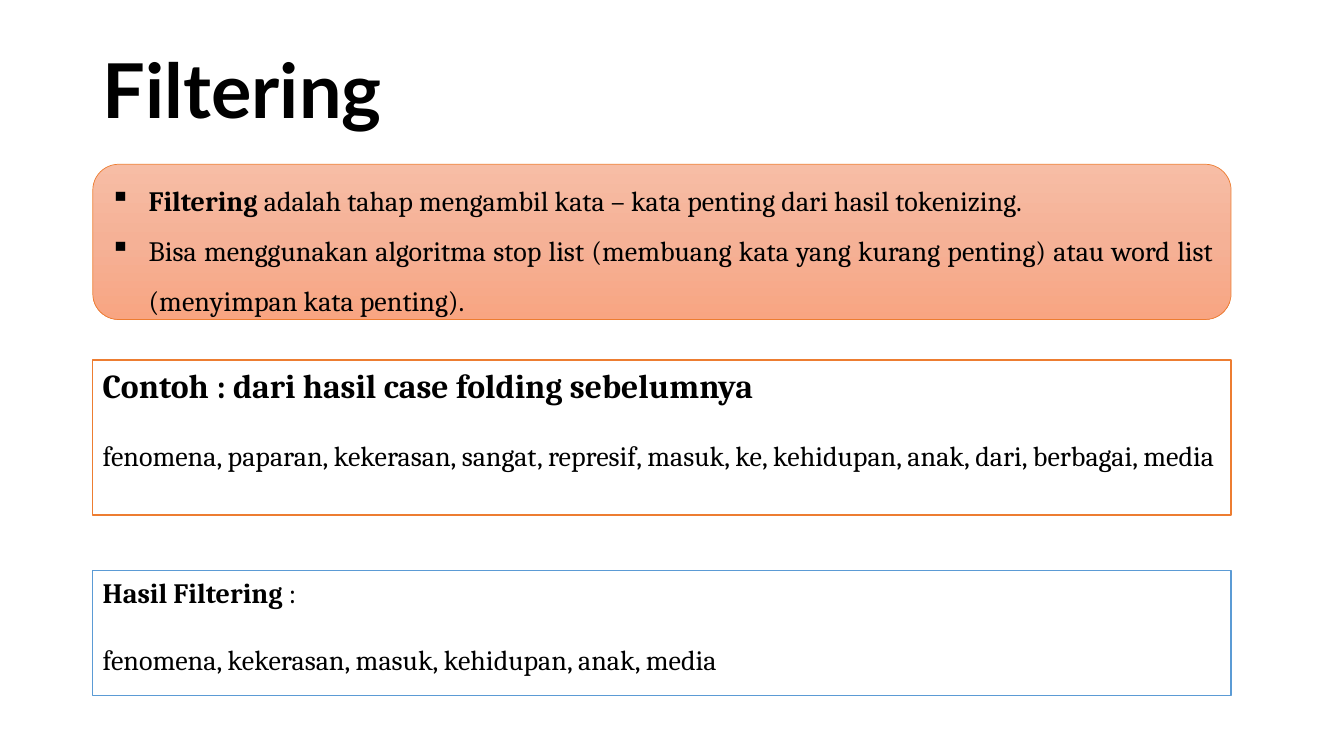
from copy import deepcopy

from lxml import etree
from pptx import Presentation
from pptx.dml.color import RGBColor as RGB
from pptx.enum.shapes import MSO_SHAPE as SHAPE
from pptx.enum.text import MSO_ANCHOR as ANCHOR, PP_ALIGN as ALIGN
from pptx.oxml.ns import qn
from pptx.util import Inches, Pt

COLORS = {"text": "000000", "paper": "FFFFFF", "orange": "ED7D31", "blue": "5B9BD5"}
GRADIENT = [(0, "F7BDA5"), (0.5, "F5B196"), (1, "F8A582")]
WIDTH, HEIGHT = 13.33, 7.5
LEFT, BOX_WIDTH = 0.92, 11.29


def add_runs(p, runs, font="Cambria"):
    for text, size, bold in runs:
        r = p.add_run()
        r.text = text
        for key, value in {"name": font, "size": Pt(size), "bold": bold}.items():
            setattr(r.font, key, value)
        r.font.color.rgb = RGB.from_string(COLORS["text"])


def add_bullet(p, char, indent):
    pPr = p._p.get_or_add_pPr()
    pPr.set("marL", str(Inches(indent)))
    pPr.set("indent", str(-Inches(indent)))
    etree.SubElement(pPr, qn("a:buChar")).set("char", char)


def fill_gradient(sp, stops):
    sp.fill.gradient()
    sp.fill.gradient_angle = 270
    gs_list = sp._element.spPr.xpath(".//a:gsLst")[0]
    while len(gs_list) < len(stops):
        gs_list.append(deepcopy(gs_list[0]))
    for stop, (position, color) in zip(sp.fill.gradient_stops, stops):
        stop.position = position
        stop.color.rgb = RGB.from_string(color)


def add_title(slide, box, text):
    sp = slide.shapes.title
    for key, value in zip(("left", "top", "width", "height"), box):
        setattr(sp, key, Inches(value))
    tf = sp.text_frame
    tf.vertical_anchor = ANCHOR.MIDDLE
    p = tf.paragraphs[0]
    p.alignment, p.line_spacing = ALIGN.LEFT, 0.9
    add_runs(p, [(text, 54, True)], "Lato")


def add_panel(slide, box, shape, line, line_width, paragraphs, anchor, **spacing):
    sp = slide.shapes.add_shape(shape, *map(Inches, box))
    sp.shadow.inherit = False
    sp.fill.solid()
    sp.fill.fore_color.rgb = RGB.from_string(COLORS["paper"])
    sp.line.color.rgb = RGB.from_string(COLORS[line])
    sp.line.width = Pt(line_width)
    tf = sp.text_frame
    tf.word_wrap = True
    tf.vertical_anchor = anchor
    for i, runs in enumerate(paragraphs):
        p = tf.add_paragraph() if i else tf.paragraphs[0]
        p.alignment = ALIGN.JUSTIFY
        for key, value in spacing.items():
            setattr(p, key, value if i or key == "line_spacing" else Pt(0))
        add_runs(p, runs)
    return sp


def add_definition(slide, box, paragraphs):
    sp = add_panel(slide, box, SHAPE.ROUNDED_RECTANGLE, "orange", 0.5, paragraphs,
                   ANCHOR.MIDDLE, line_spacing=1.5)
    fill_gradient(sp, GRADIENT)
    for p in sp.text_frame.paragraphs:
        add_bullet(p, "▪", 0.38)


def add_example(slide, box, line, heading, words):
    add_panel(slide, box, SHAPE.RECTANGLE, line, 1, [heading, [(words, 20, False)]],
              ANCHOR.TOP, space_before=Pt(24))


def main():
    prs = Presentation()
    prs.slide_width, prs.slide_height = Inches(WIDTH), Inches(HEIGHT)
    slide = prs.slides.add_slide(prs.slide_layouts[5])
    add_title(slide, (LEFT, 0.4, 11.5, 1.06), "Filtering")
    add_definition(slide, (LEFT, 1.63, BOX_WIDTH, 1.54), [
        [("Filtering ", 20, True),
         ("adalah tahap mengambil kata – kata penting dari hasil tokenizing.", 20, False)],
        [("Bisa menggunakan algoritma stop list (membuang kata yang kurang penting) "
          "atau word list (menyimpan kata penting).", 20, False)],
    ])
    add_example(slide, (LEFT, 3.57, BOX_WIDTH, 1.54), "orange",
                [("Contoh : dari hasil case folding sebelumnya", 24, True)],
                "fenomena, paparan, kekerasan, sangat, represif, masuk, ke, "
                "kehidupan, anak, dari, berbagai, media")
    add_example(slide, (LEFT, 5.66, BOX_WIDTH, 1.24), "blue",
                [("Hasil Filtering ", 20, True), (":", 20, False)],
                "fenomena, kekerasan, masuk, kehidupan, anak, media")
    prs.save("out.pptx")


if __name__ == "__main__":
    main()
